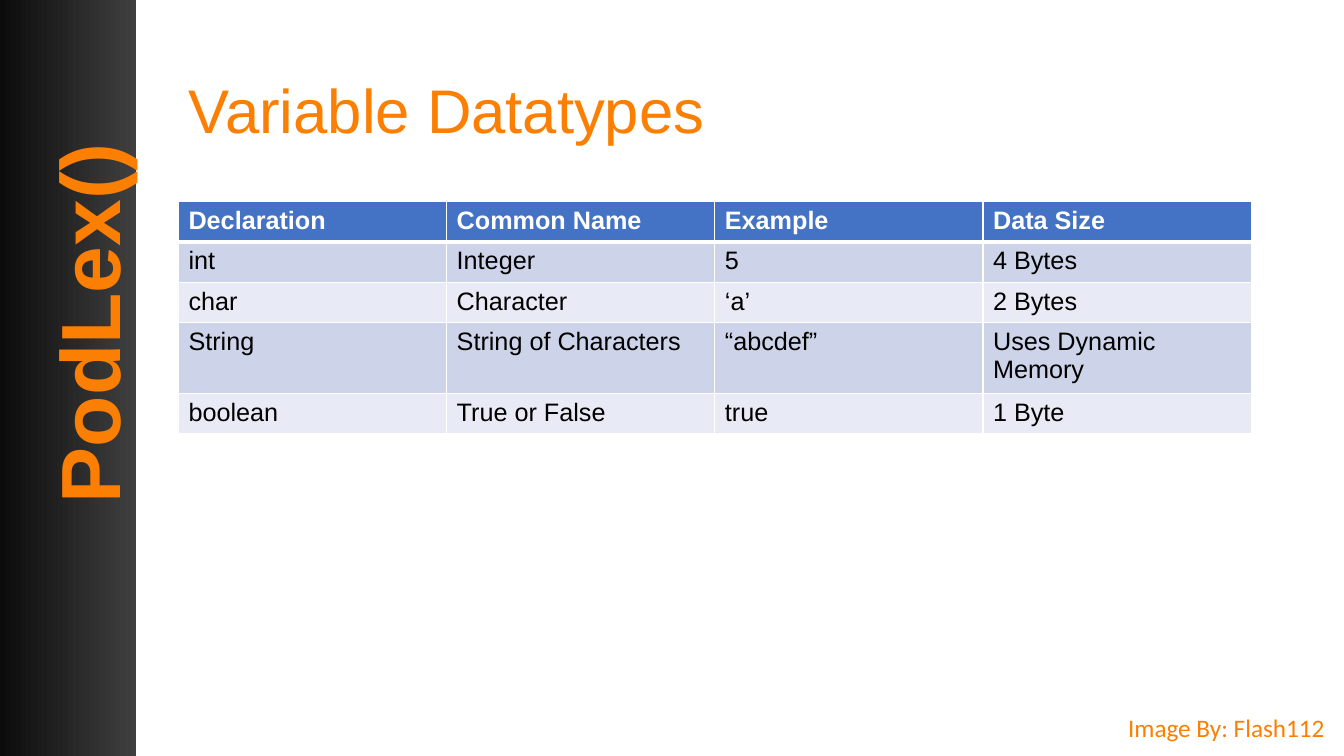
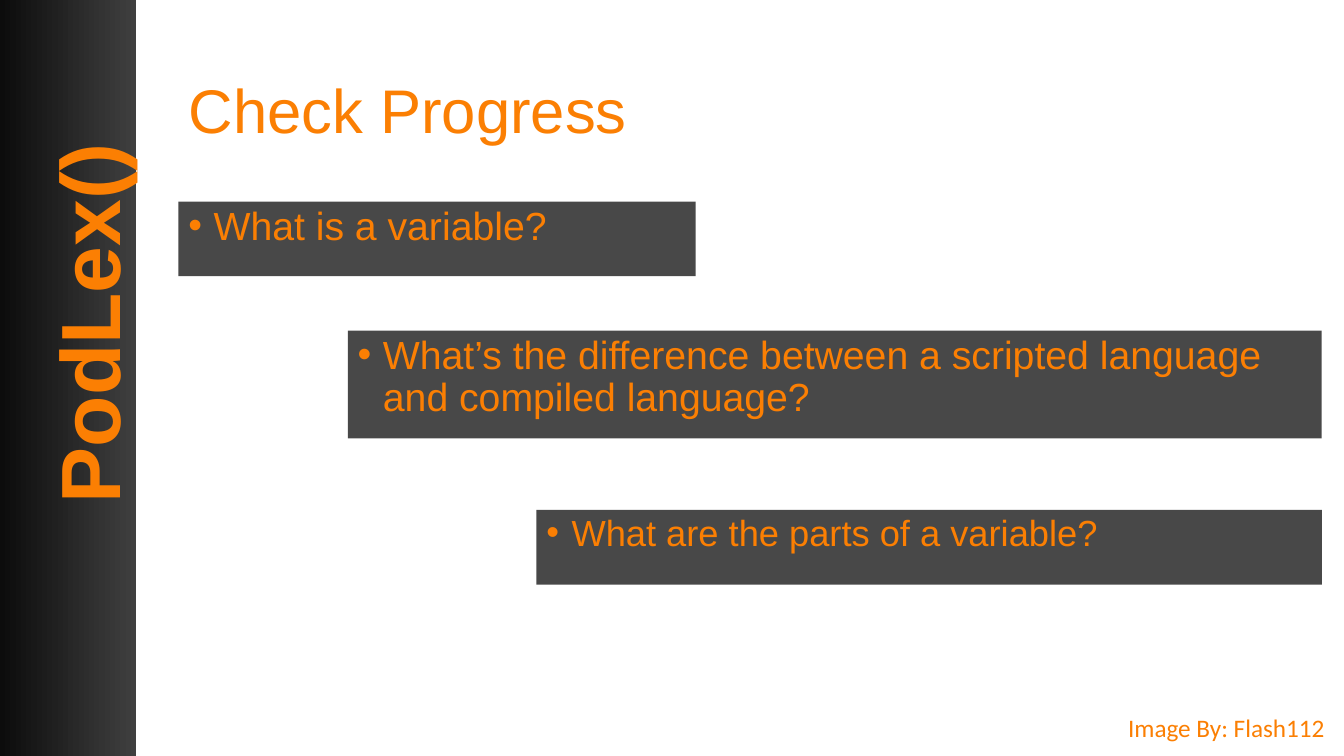
from dataclasses import dataclass

from lxml.etree import SubElement
from pptx import Presentation
from pptx.dml.color import RGBColor as Rgb
from pptx.enum.shapes import MSO_SHAPE as Shape
from pptx.enum.text import MSO_ANCHOR as Anchor, PP_ALIGN as Align
from pptx.oxml.ns import qn
from pptx.util import Inches, Pt


@dataclass(frozen=True)
class Theme:
    accent: str = "FB7F03"
    dark: str = "0C0C0C"
    band_end: str = "3F3F3F"
    white: str = "FFFFFF"
    black: str = "000000"
    header: str = "4472C4"
    stripes: tuple = ("CDD4EA", "E8EBF5")
    font: str = "Arial"
    credit_font: str = "Calibri"
    sidebar_size: float = 60
    title_size: float = 44
    question_size: float = 28
    small_question_size: float = 25.9
    text_size: float = 18
    line_spacing: float = 0.9
    question_opacity: int = 75


THEME = Theme()
LEFT = 1.77
CONTENT_WIDTH = 10.64
CONTENT_TOP = 2
ROW_HEIGHT = 0.4
BULLET_INDENT = 0.25

DATATYPES = [
    ["Declaration", "Common Name", "Example", "Data Size"],
    ["int", "Integer", "5", "4 Bytes"],
    ["char", "Character", "‘a’", "2 Bytes"],
    ["String", "String of Characters", "“abcdef”", "Uses Dynamic Memory"],
    ["boolean", "True or False", "true", "1 Byte"],
]

QUESTIONS = [
    ("What is a variable?", (LEFT, CONTENT_TOP, 5.13, 0.74), THEME.question_size),
    ("What’s the difference between a scripted language and compiled language?",
     (3.45, 3.28, 9.66, 1.07), THEME.question_size),
    ("What are the parts of a variable?", (5.32, 5.06, 7.79, 0.74),
     THEME.small_question_size),
]


def inches(*lengths):
    return [Inches(length) for length in lengths]


def set_all(target, values):
    for name, value in values.items():
        setattr(target, name, value)


def write(frame, text, size, color=THEME.accent, font=THEME.font, bold=False, **layout):
    para = frame.paragraphs[0]
    set_all(para, {"alignment": Align.LEFT, **layout})
    span = para.add_run()
    span.text = text
    set_all(span.font, {"name": font, "size": Pt(size), "bold": bold})
    span.font.color.rgb = Rgb.from_string(color)
    return para


def add_label(slide, text, place, size, rotation=0, **style):
    box = slide.shapes.add_textbox(*inches(*place))
    box.rotation = rotation
    write(box.text_frame, text, size, **style)


def add_panel(slide, place):
    panel = slide.shapes.add_shape(Shape.RECTANGLE, *inches(*place))
    panel.shadow.inherit = False
    panel.line.fill.background()
    return panel


def add_band(slide):
    fill = add_panel(slide, (0, 0, 1.35, 7.5)).fill
    fill.gradient()
    fill.gradient_angle = 0
    for stop, color, position in zip(
            fill.gradient_stops, (THEME.dark, THEME.band_end), (0, 1)):
        stop.color.rgb = Rgb.from_string(color)
        stop.position = position


def add_page(deck, title):
    slide = deck.slides.add_slide(deck.slide_layouts.get_by_name("Title Only"))
    add_band(slide)
    add_label(slide, "PodLex()", (-1.27, 2.4, 4.27, 1.11), THEME.sidebar_size,
              rotation=270, bold=True)
    add_label(slide, "Image By: Flash112", (11.09, 7.02, 2.17, 0.4),
              THEME.text_size, font=THEME.credit_font)
    heading = slide.shapes.title
    places = inches(LEFT, 0.4, CONTENT_WIDTH, 1.45)
    set_all(heading, dict(zip(("left", "top", "width", "height"), places)))
    heading.text_frame.vertical_anchor = Anchor.MIDDLE
    write(heading.text_frame, title, THEME.title_size,
          line_spacing=THEME.line_spacing)
    return slide


def add_borders(cell, is_header, below_header):
    properties = cell._tc.get_or_add_tcPr()
    widths = {"lnL": 1, "lnR": 1, "lnT": 3 if below_header else 1,
              "lnB": 3 if is_header else 1}
    for side, width in widths.items():
        line = SubElement(properties, qn(f"a:{side}"), w=str(Pt(width)))
        fill = SubElement(line, qn("a:solidFill"))
        SubElement(fill, qn("a:srgbClr"), val=THEME.white)


def add_data_table(slide, rows):
    place = inches(LEFT, CONTENT_TOP, CONTENT_WIDTH, ROW_HEIGHT * len(rows))
    table = slide.shapes.add_table(len(rows), len(rows[0]), *place).table
    for row_index, texts in enumerate(rows):
        is_header = row_index == 0
        background = THEME.header if is_header else THEME.stripes[(row_index - 1) % 2]
        for column_index, text in enumerate(texts):
            cell = table.cell(row_index, column_index)
            add_borders(cell, is_header, row_index == 1)
            cell.fill.solid()
            cell.fill.fore_color.rgb = Rgb.from_string(background)
            write(cell.text_frame, text, THEME.text_size, bold=is_header,
                  color=THEME.white if is_header else THEME.black)


def add_bullet(para):
    properties = para._p.get_or_add_pPr()
    indents = {"marL": Inches(BULLET_INDENT), "indent": -Inches(BULLET_INDENT)}
    for name, value in indents.items():
        properties.set(name, str(value))
    color = SubElement(properties, qn("a:buClr"))
    SubElement(color, qn("a:srgbClr"), val=THEME.accent)
    SubElement(properties, qn("a:buFont"), typeface=THEME.font)
    SubElement(properties, qn("a:buChar"), char="•")


def add_question(slide, text, place, size):
    panel = add_panel(slide, place)
    panel.fill.solid()
    panel.fill.fore_color.rgb = Rgb.from_string(THEME.dark)
    color = panel.fill._xPr.find(qn("a:solidFill")).find(qn("a:srgbClr"))
    SubElement(color, qn("a:alpha"), val=str(THEME.question_opacity * 1000))
    set_all(panel.text_frame, {"word_wrap": True, "vertical_anchor": Anchor.TOP})
    add_bullet(write(panel.text_frame, text, size, line_spacing=THEME.line_spacing))


def main():
    deck = Presentation()
    set_all(deck, {"slide_width": Inches(13.33), "slide_height": Inches(7.5)})
    add_data_table(add_page(deck, "Variable Datatypes"), DATATYPES)
    progress = add_page(deck, "Check Progress")
    for question in QUESTIONS:
        add_question(progress, *question)
    deck.save("out.pptx")


if __name__ == "__main__":
    main()
